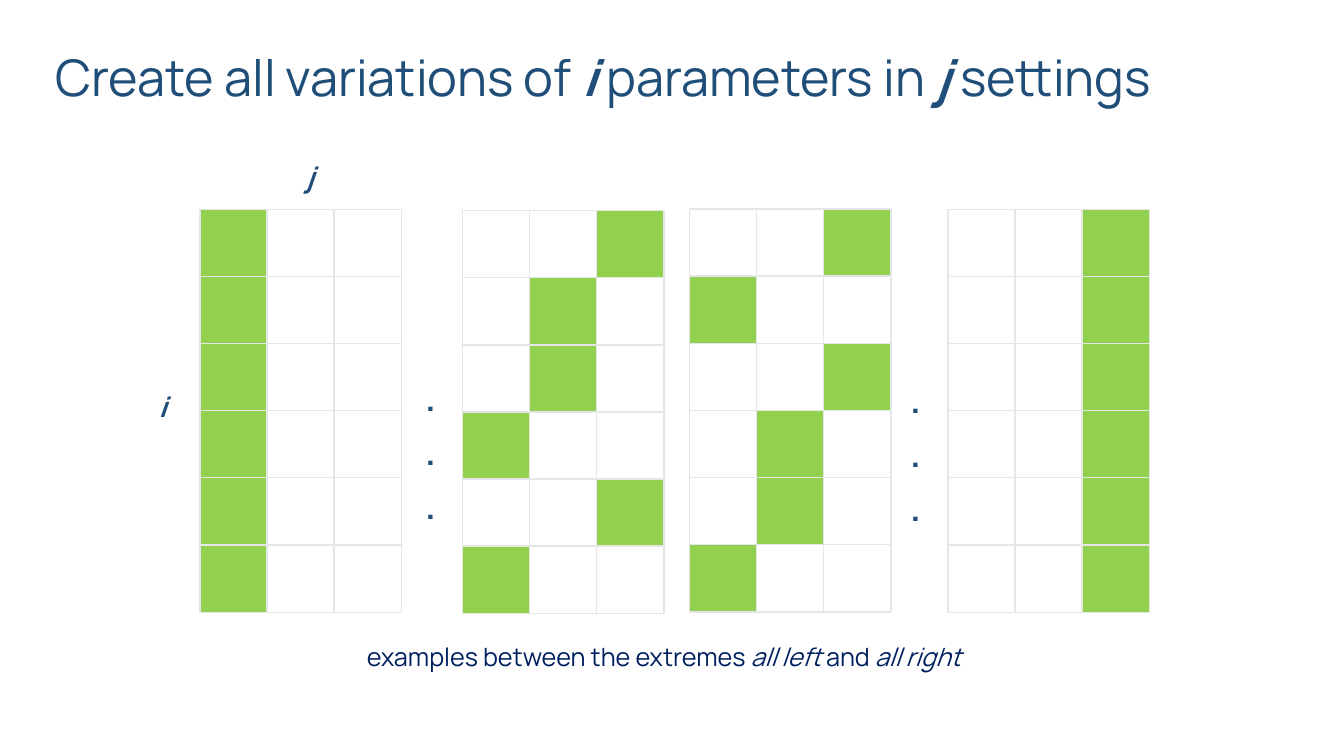
from pptx import Presentation
from pptx.dml.color import RGBColor
from pptx.enum.shapes import MSO_SHAPE
from pptx.enum.text import MSO_ANCHOR, PP_ALIGN
from pptx.util import Cm, Pt

INK = {
    "blue": "1F4E79",
    "navy": "002060",
    "green": "92D050",
    "white": "FFFFFF",
    "grey": "E7E6E6",
}


def tint(name):
    return RGBColor.from_string(INK[name])


def add_text(area, runs, size, color, wrap=False, align=PP_ALIGN.LEFT, space=1.0):
    """Add one line of text; each run is (words, bold, italic)."""
    box = slide.shapes.add_textbox(*[Cm(n) for n in area])
    frame = box.text_frame
    frame.word_wrap = wrap
    line = frame.paragraphs[0]
    line.alignment = align
    line.line_spacing = space
    for words, bold, slant in runs:
        run = line.add_run()
        run.text = words
        run.font.name = "Manrope"
        run.font.size = Pt(size)
        run.font.bold = bold
        run.font.italic = slant
        run.font.color.rgb = tint(color)
    return frame


deck = Presentation()
deck.slide_width, deck.slide_height = Cm(33.87), Cm(19.05)
slide = deck.slides.add_slide(deck.slide_layouts[6])

# Title
title = add_text((1.14, 1.02, 30.4, 1.98), [
    ("Create all variations of ", False, False),
    ("i", True, True),
    (" parameters in", False, False),
    (" j ", True, True),
    ("settings", False, False),
], 36, "blue", wrap=True, align=PP_ALIGN.JUSTIFY, space=0.9)
title.vertical_anchor = MSO_ANCHOR.MIDDLE

# Grids: left edge, top edge, and the green column of each row
SIDE, STEP, COLS = 1.7, 1.69, 3
grids = [
    (5.04, 5.28, [0, 0, 0, 0, 0, 0]),
    (11.66, 5.31, [2, 1, 1, 0, 2, 0]),
    (17.38, 5.27, [2, 0, 2, 1, 1, 0]),
    (23.89, 5.28, [2, 2, 2, 2, 2, 2]),
]
for left, top, marks in grids:
    grid = slide.shapes.add_group_shape()
    for row, mark in enumerate(marks):
        for col in range(COLS):
            cell = grid.shapes.add_shape(
                MSO_SHAPE.RECTANGLE, Cm(left + col * STEP),
                Cm(top + row * STEP), Cm(SIDE), Cm(SIDE))
            cell.shadow.inherit = False
            cell.fill.solid()
            cell.fill.fore_color.rgb = tint("green" if col == mark else "white")
            cell.line.color.rgb = tint("grey")
            cell.line.width = Pt(1)

# Dots between grids, one to a line in a narrow box
for left, top in [(10.46, 9.17), (22.66, 9.22)]:
    add_text((left, top, 0.94, 1.35), [("...", False, False)],
             36, "blue", wrap=True, space=0.89)

# Axis letters
for left, top, name in [(7.32, 3.89, " j"), (3.61, 9.7, " i")]:
    add_text((left, top, 1.04, 1.12), [(name, True, True)], 20, "blue")

# Caption
add_text((8.79, 16.03, 15.88, 1.02), [
    ("examples between the extremes ", False, False),
    ("all left ", False, True),
    ("and ", False, False),
    ("all right", False, True),
], 18, "navy", align=PP_ALIGN.CENTER)

deck.save("out.pptx")
